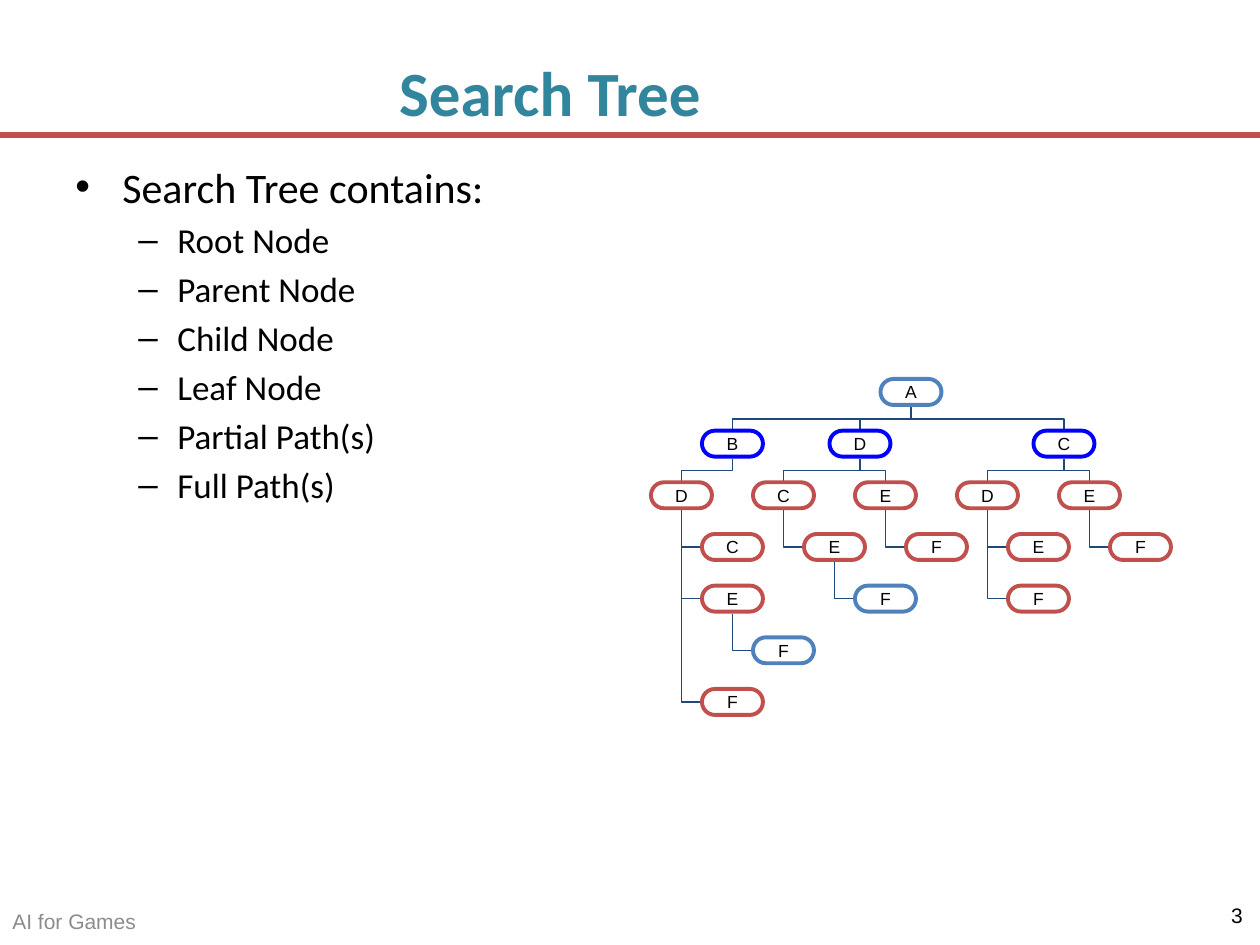
from lxml.etree import SubElement
from pptx import Presentation
from pptx.dml.color import RGBColor
from pptx.enum.shapes import MSO_CONNECTOR, MSO_SHAPE
from pptx.enum.text import MSO_ANCHOR, PP_ALIGN
from pptx.oxml.ns import qn
from pptx.util import Pt

SCALE = 914400 / 126
BLACK = RGBColor(0, 0, 0)
GRAY = RGBColor(0x8C, 0x8C, 0x8C)
TEAL = RGBColor(0x31, 0x85, 0x9C)
RED = RGBColor(0xC0, 0x50, 0x4D)
STEEL = RGBColor(0x4F, 0x81, 0xBD)
BLUE = RGBColor(0, 0, 0xFF)
NAVY = RGBColor(0x1F, 0x49, 0x7D)

NODE_WIDTH, NODE_HEIGHT = 61, 26
TREE_LEFT, TREE_TOP = 651, 379
COLUMN_STEP, ROW_STEP = 51, 310 / 6
GAP = 2


def emu(*pixels):
    return [round(pixel * SCALE) for pixel in pixels]


def add_line(kind, ends, color, width):
    connector = slide.shapes.add_connector(kind, *emu(*ends))
    connector.line.color.rgb = color
    connector.line.width = Pt(width)
    SubElement(connector._element.spPr, qn("a:effectLst"))
    return connector


presentation = Presentation()
presentation.slide_width, presentation.slide_height = emu(1260, 945)
slide = presentation.slides.add_slide(presentation.slide_layouts[5])

add_line(MSO_CONNECTOR.STRAIGHT, (0, 135, 1260, 135), RED, 3.5)

title = slide.shapes.title
title.left, title.top, title.width, title.height = emu(63, 38, 974, 107)
title.text_frame.text = "Search Tree"
title.text_frame.vertical_anchor = MSO_ANCHOR.MIDDLE
paragraph = title.text_frame.paragraphs[0]
paragraph.alignment = PP_ALIGN.CENTER
paragraph.font.name = "Calibri"
paragraph.font.size = Pt(36)
paragraph.font.bold = True
paragraph.font.color.rgb = TEAL

body = slide.shapes.add_textbox(*emu(63, 155, 1134, 689)).text_frame
body.word_wrap = True
outline = [
    ("Search Tree contains:", 0),
    ("Root Node", 1),
    ("Parent Node", 1),
    ("Child Node", 1),
    ("Leaf Node", 1),
    ("Partial Path(s)", 1),
    ("Full Path(s)", 1),
]
bullet_styles = [("•", 24, 47, 47), ("–", 20, 102, 39)]
for index, (text, level) in enumerate(outline):
    paragraph = body.add_paragraph() if index else body.paragraphs[0]
    bullet, size, margin, hanging = bullet_styles[level]
    paragraph.text = text
    paragraph.level = level
    paragraph.space_before = Pt(size * 0.2)
    paragraph.font.name = "Calibri"
    paragraph.font.size = Pt(size)
    paragraph.font.color.rgb = BLACK
    properties = paragraph._p.get_or_add_pPr()
    margin, hanging = emu(margin, hanging)
    properties.set("marL", str(margin))
    properties.set("indent", str(-hanging))
    bullet_font = properties.makeelement(qn("a:buFont"), {"typeface": "Arial"})
    bullet_mark = properties.makeelement(qn("a:buChar"), {"char": bullet})
    properties.find(qn("a:defRPr")).addprevious(bullet_font)
    bullet_font.addnext(bullet_mark)

# letter, column, row, outline color, index of parent
nodes = [
    ("A", 4.5, 0, STEEL, None),
    ("B", 1, 1, BLUE, 0),
    ("D", 3.5, 1, BLUE, 0),
    ("C", 7.5, 1, BLUE, 0),
    ("D", 0, 2, RED, 1),
    ("C", 2, 2, RED, 2),
    ("E", 4, 2, RED, 2),
    ("D", 6, 2, RED, 3),
    ("E", 8, 2, RED, 3),
    ("C", 1, 3, RED, 4),
    ("E", 1, 4, RED, 4),
    ("F", 1, 6, RED, 4),
    ("E", 3, 3, RED, 5),
    ("F", 4, 4, STEEL, 12),
    ("F", 5, 3, RED, 6),
    ("F", 9, 3, RED, 8),
    ("E", 7, 3, RED, 7),
    ("F", 7, 4, RED, 7),
    ("F", 2, 5, STEEL, 10),
]
positions = [
    (TREE_LEFT + column * COLUMN_STEP, TREE_TOP + row * ROW_STEP)
    for _, column, row, _, _ in nodes
]

for (left, top), (_, _, row, _, parent) in zip(positions, nodes):
    if parent is None:
        continue
    parent_x = positions[parent][0] + NODE_WIDTH / 2
    parent_y = positions[parent][1] + NODE_HEIGHT + GAP
    if row > 2:
        ends = (parent_x, parent_y, left - GAP, top + NODE_HEIGHT / 2)
        preset, rotation = "bentConnector2", 180
    else:
        child_x = left + NODE_WIDTH / 2
        middle_x, middle_y = (parent_x + child_x) / 2, (parent_y + top) / 2
        side = 1 if child_x > parent_x else -1
        half_drop = side * (top - parent_y) / 2
        half_span = abs(child_x - parent_x) / 2
        ends = (middle_x + half_drop, middle_y - half_span,
                middle_x - half_drop, middle_y + half_span)
        preset, rotation = "bentConnector3", 180 - side * 90
    branch = add_line(MSO_CONNECTOR.ELBOW, ends, NAVY, 0.75)
    branch._element.spPr.find(qn("a:prstGeom")).set("prst", preset)
    branch._element.spPr.find(qn("a:xfrm")).set("rot", str(rotation * 60000))

for (left, top), (letter, _, _, color, _) in zip(positions, nodes):
    node = slide.shapes.add_shape(
        MSO_SHAPE.ROUNDED_RECTANGLE, *emu(left, top, NODE_WIDTH, NODE_HEIGHT))
    node.adjustments[0] = 0.5
    node.shadow.inherit = False
    node.fill.background()
    node.line.color.rgb = color
    node.line.width = Pt(2.25)
    frame = node.text_frame
    frame.text = letter
    frame.word_wrap = False
    frame.vertical_anchor = MSO_ANCHOR.MIDDLE
    frame.margin_left, frame.margin_right = emu(8, 8)
    frame.margin_top, frame.margin_bottom = emu(4, 4)
    paragraph = frame.paragraphs[0]
    paragraph.alignment = PP_ALIGN.CENTER
    paragraph.font.name = "Arial"
    paragraph.font.size = Pt(10)
    paragraph.font.color.rgb = BLACK

footers = [
    ("AI for Games", (0, 898, 581, 47), PP_ALIGN.LEFT, GRAY),
    ("3", (961, 890, 294, 50), PP_ALIGN.RIGHT, BLACK),
]
for text, box, alignment, color in footers:
    frame = slide.shapes.add_textbox(*emu(*box)).text_frame
    frame.word_wrap = True
    frame.vertical_anchor = MSO_ANCHOR.MIDDLE
    frame.text = text
    paragraph = frame.paragraphs[0]
    paragraph.alignment = alignment
    paragraph.font.name = "Arial"
    paragraph.font.size = Pt(12)
    paragraph.font.color.rgb = color

presentation.save("out.pptx")
